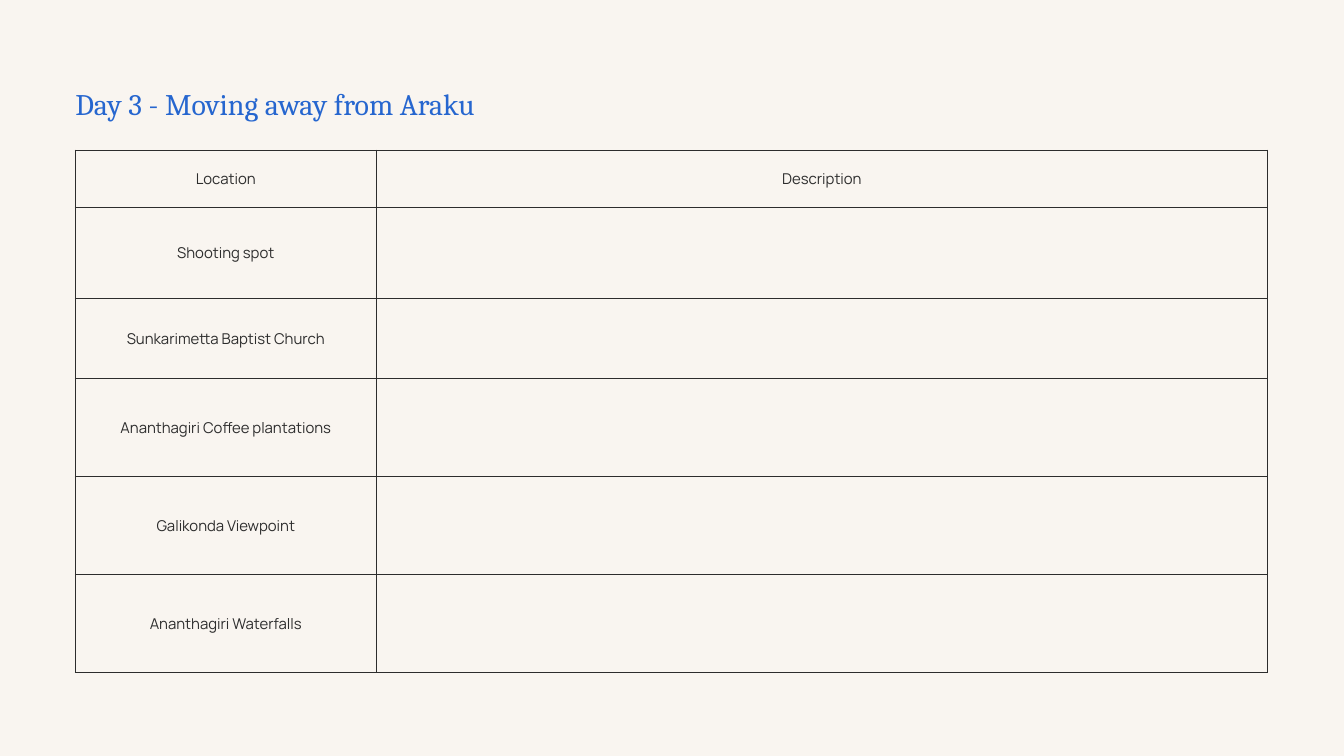
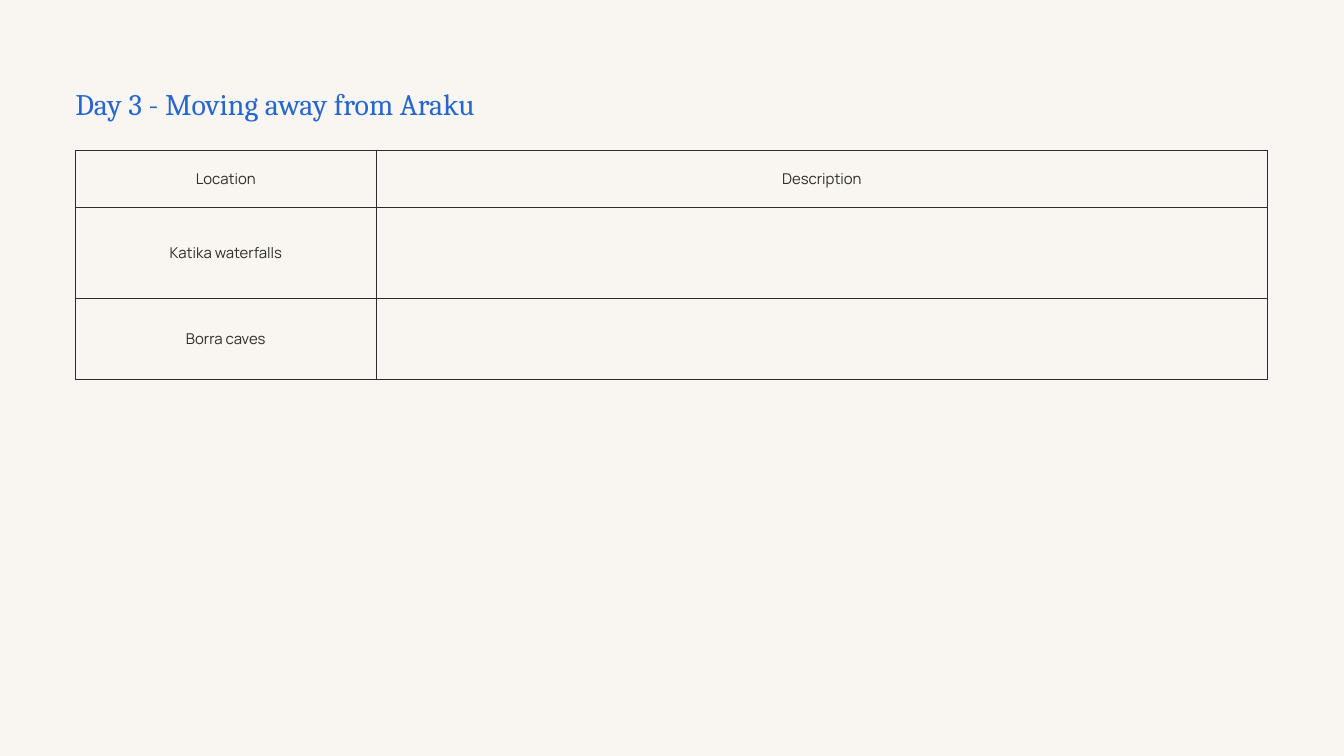
from dataclasses import dataclass

from lxml import etree
from pptx import Presentation
from pptx.dml.color import RGBColor
from pptx.enum.text import MSO_ANCHOR, MSO_AUTO_SIZE, PP_ALIGN
from pptx.oxml.ns import qn
from pptx.util import Inches, Pt

LEFT, CENTER = PP_ALIGN.LEFT, PP_ALIGN.CENTER
TOP, MIDDLE = MSO_ANCHOR.TOP, MSO_ANCHOR.MIDDLE
NO_AUTOFIT = MSO_AUTO_SIZE.NONE
TITLE_ONLY = 5


@dataclass(frozen=True)
class Theme:
    paper: str = "F9F5F0"
    ink: str = "2D2D2D"
    accent: str = "2666CF"
    title_font: str = "Cambria"
    body_font: str = "Manrope"
    title_size: float = 32
    body_size: float = 16
    leading: float = 1.4
    border: float = 0.75
    cell_inset: float = 0.21


THEME = Theme()

# Boxes: left, top, width, height; the table height follows from its rows
TITLE_BOX = (1.12, 1.18, 9.13, 0.59)
TABLE_LEFT, TABLE_TOP = 1.12, 2.23
COLUMN_WIDTHS = (4.48, 13.26)
HEADER = ("Location", "Description")
HEADER_HEIGHT = 0.86

# Each day slide: title, then (location, row height)
DAY_SLIDES = [
    ("Day 3 - Moving away from Araku", [
        ("Shooting spot", 1.35),
        ("Sunkarimetta Baptist Church", 1.19),
        ("Ananthagiri Coffee plantations", 1.46),
        ("Galikonda Viewpoint", 1.46),
        ("Ananthagiri Waterfalls", 1.46),
    ]),
    ("Day 3 - Moving away from Araku", [
        ("Katika waterfalls", 1.35),
        ("Borra caves", 1.2),
    ]),
]


def style_paragraph(p, font, size, color, align):
    p.alignment = align
    p.line_spacing = Pt(size * THEME.leading)
    p.font.name = font
    p.font.size = Pt(size)
    p.font.color.rgb = RGBColor.from_string(color)


def set_borders(cell):
    tc_pr = cell._tc.get_or_add_tcPr()
    for i, side in enumerate(("lnL", "lnR", "lnT", "lnB")):
        ln = etree.Element(qn(f"a:{side}"), w=str(Pt(THEME.border)))
        fill = etree.SubElement(ln, qn("a:solidFill"))
        etree.SubElement(fill, qn("a:srgbClr"), val=THEME.ink)
        tc_pr.insert(i, ln)


def fill_cell(cell, text):
    cell.fill.background()
    set_borders(cell)
    cell.vertical_anchor = MIDDLE
    inset = Inches(THEME.cell_inset)
    cell.margin_left = cell.margin_right = inset
    cell.margin_top = cell.margin_bottom = inset
    cell.text = text
    style_paragraph(cell.text_frame.paragraphs[0], THEME.body_font,
                    THEME.body_size, THEME.ink, CENTER)


def add_title(slide, text, box):
    title = slide.shapes.title
    title.left, title.top, title.width, title.height = map(Inches, box)
    tf = title.text_frame
    tf.margin_left = tf.margin_right = tf.margin_top = tf.margin_bottom = 0
    tf.vertical_anchor = TOP
    tf.word_wrap = True
    tf.auto_size = NO_AUTOFIT
    tf.text = text
    style_paragraph(tf.paragraphs[0], THEME.title_font, THEME.title_size,
                    THEME.accent, LEFT)


def add_itinerary(slide, stops, left, top):
    rows = [HEADER] + [(location, "") for location, _ in stops]
    heights = [HEADER_HEIGHT] + [height for _, height in stops]
    table = slide.shapes.add_table(
        len(rows), len(HEADER), Inches(left), Inches(top),
        Inches(sum(COLUMN_WIDTHS)), Inches(sum(heights))).table
    table.first_row = table.horz_banding = False
    for column, width in zip(table.columns, COLUMN_WIDTHS):
        column.width = Inches(width)
    for row, height, texts in zip(table.rows, heights, rows):
        row.height = Inches(height)
        for cell, text in zip(row.cells, texts):
            fill_cell(cell, text)


def add_day_slide(prs, title, stops):
    slide = prs.slides.add_slide(prs.slide_layouts[TITLE_ONLY])
    add_title(slide, title, TITLE_BOX)
    add_itinerary(slide, stops, TABLE_LEFT, TABLE_TOP)


def main():
    prs = Presentation()
    prs.slide_width, prs.slide_height = Inches(20), Inches(11.25)

    # Shared paper background
    background = prs.slide_master.background.fill
    background.solid()
    background.fore_color.rgb = RGBColor.from_string(THEME.paper)

    for title, stops in DAY_SLIDES:
        add_day_slide(prs, title, stops)
    prs.save("out.pptx")


if __name__ == "__main__":
    main()
